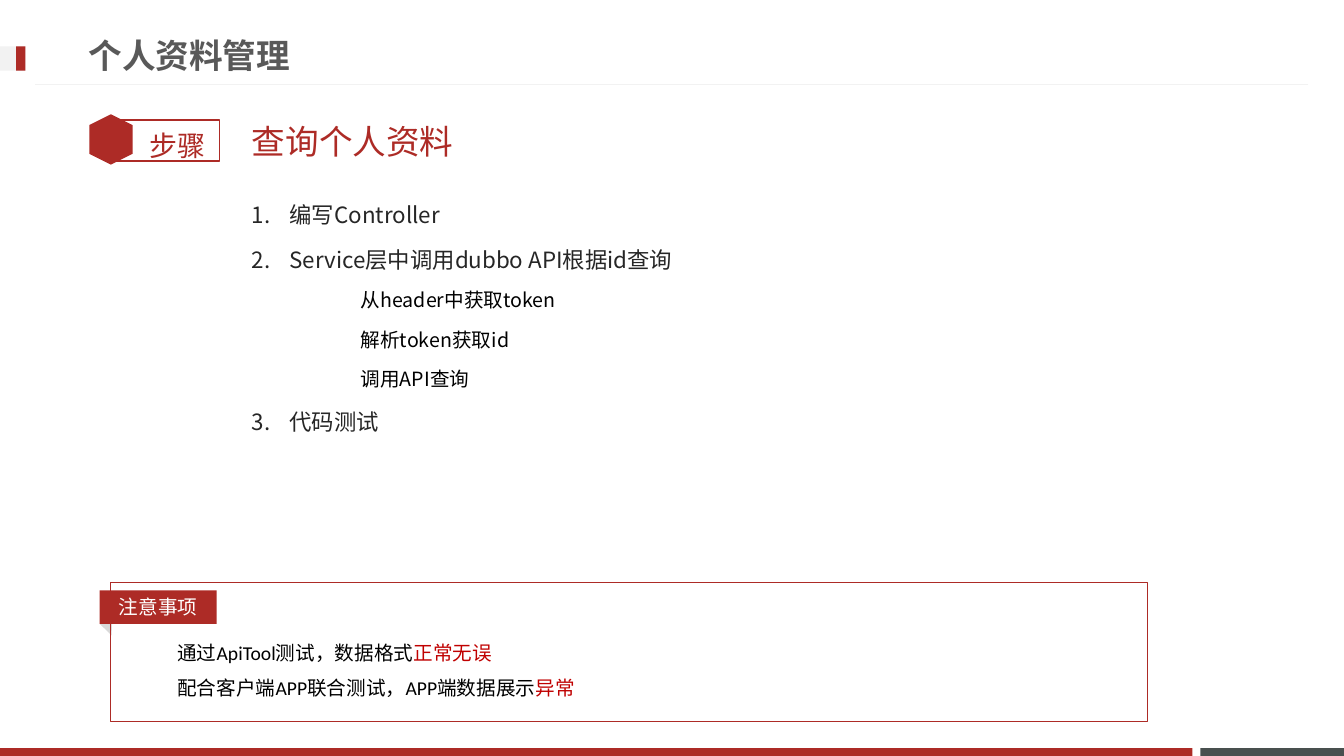
import pptx
import pptx.util
import pptx.dml.color
import pptx.enum.shapes
import pptx.enum.text
import pptx.oxml.ns
import lxml.etree

Cm, Pt = pptx.util.Cm, pptx.util.Pt
SHAPE = pptx.enum.shapes.MSO_SHAPE
ANCHOR = pptx.enum.text.MSO_ANCHOR
ALIGN = pptx.enum.text.PP_ALIGN
qn = pptx.oxml.ns.qn

C = {"red": "AD2B26", "slate": "49504F", "pale": "F2F2F2", "fold": "D9D9D9",
     "title": "595959", "ink": "262626", "black": "000000", "white": "FFFFFF",
     "alert": "C00000"}
W, H = 33.87, 19.05


def rgb(name):
    return pptx.dml.color.RGBColor.from_string(C[name])


def add_box(s, kind, x, y, w, h, fill=None, line=None, weight=0.75, rot=0):
    sp = s.shapes.add_shape(kind, Cm(x), Cm(y), Cm(w), Cm(h))
    sp.shadow.inherit = False
    sp.rotation = rot
    if fill:
        sp.fill.solid()
        sp.fill.fore_color.rgb = rgb(fill)
    else:
        sp.fill.background()
    if line:
        sp.line.color.rgb = rgb(line)
        sp.line.width = Pt(weight)
    else:
        sp.line.fill.background()
    return sp


def add_frame(s, x, y, w, h, anchor=ANCHOR.TOP):
    tf = s.shapes.add_textbox(Cm(x), Cm(y), Cm(w), Cm(h)).text_frame
    tf.word_wrap = True
    tf.vertical_anchor = anchor
    return tf


def add_text(p, text, size=14, font="Calibri", color="black", bold=False):
    r = p.add_run()
    r.text = text
    r.font.size = Pt(size)
    r.font.name = font
    r.font.bold = bold
    r.font.color.rgb = rgb(color)


def next_paragraph(tf):
    return tf.paragraphs[0] if not tf.paragraphs[0].runs else tf.add_paragraph()


def indent(p, left, first=0, numbered=False):
    pPr = p._p.get_or_add_pPr()
    pPr.set("marL", str(Cm(left)))
    pPr.set("indent", str(Cm(first)))
    if numbered:
        lxml.etree.SubElement(pPr, qn("a:buAutoNum"), type="arabicPeriod")
    else:
        lxml.etree.SubElement(pPr, qn("a:buNone"))


def draw_frame(s):
    # Footer bars
    add_box(s, SHAPE.RECTANGLE, 30.25, H - 0.2, W - 30.25, 0.2, "slate")
    add_box(s, SHAPE.RECTANGLE, 0, H - 0.2, 30.05, 0.2, "red")
    # Header rule
    rule = s.shapes.add_connector(pptx.enum.shapes.MSO_CONNECTOR.STRAIGHT,
                                  Cm(32.97), Cm(2.13), Cm(0.89), Cm(2.13))
    rule.line.color.rgb = rgb("pale")
    rule.line.width = Pt(0.75)
    lxml.etree.SubElement(rule._element.spPr, qn("a:effectLst"))
    # Edge tab
    add_box(s, SHAPE.RECTANGLE, 0, 1.17, 0.64, 0.61, "pale")
    add_box(s, SHAPE.RECTANGLE, 0.41, 1.17, 0.23, 0.61, "red")


def draw_heading(s, x, y, w, h, text, **fmt):
    p = add_frame(s, x, y, w, h, ANCHOR.MIDDLE).paragraphs[0]
    add_text(p, text, size=24, **fmt)


def draw_step_badge(s, x, y):
    add_box(s, SHAPE.RECTANGLE, x + 0.61, y + 0.33, 2.77, 1.04, line="red", weight=1)
    add_box(s, SHAPE.HEXAGON, x, y + 0.28, 1.27, 1.09, "red", rot=90)
    p = add_frame(s, x + 1.35, y, 2.16, 1.42).paragraphs[0]
    p.line_spacing = 1.5
    add_text(p, "步骤", size=20, font="Arial", color="red")


def draw_steps(s, x, y, w, h, steps):
    tf = add_frame(s, x, y, w, h)
    for level, text in steps:
        p = next_paragraph(tf)
        size = 14 if level else 16
        p.level = level
        p.line_spacing = 1.5
        p.space_before = Pt(size * 0.2)
        if level:
            indent(p, 2.74)
        else:
            indent(p, 0.95, -0.95, numbered=True)
        add_text(p, text, size, "Noto Sans CJK JP", "black" if level else "ink")


def draw_notes(s, x, y, w, h, label, notes):
    # Folded corner, border and label
    add_box(s, SHAPE.ISOSCELES_TRIANGLE, x - 0.25, y + 0.99, 0.41, 0.23, "fold", rot=44.2)
    add_box(s, SHAPE.RECTANGLE, x, y, w, h, line="red")
    tag = add_box(s, SHAPE.RECTANGLE, x - 0.28, y + 0.2, 2.95, 0.84, "red")
    tag.text_frame.vertical_anchor = ANCHOR.MIDDLE
    p = tag.text_frame.paragraphs[0]
    p.alignment = ALIGN.CENTER
    add_text(p, label, font="Arial", color="white")
    # Note lines, each ending in a highlighted result
    tf = add_frame(s, x + 1.43, y + 1.04, 22.68, 2.84)
    for text, result in notes:
        p = next_paragraph(tf)
        p.line_spacing = 1.5
        add_text(p, text)
        add_text(p, result, color="alert")


def main():
    prs = pptx.Presentation()
    prs.slide_width, prs.slide_height = Cm(W), Cm(H)
    s = prs.slides.add_slide(prs.slide_layouts[6])
    draw_frame(s)
    draw_step_badge(s, 2.16, 2.69)
    draw_heading(s, 1.98, 0.66, 24.36, 1.45, "个人资料管理",
                 font="Arial", color="title", bold=True)
    draw_heading(s, 6.1, 2.82, 25.6, 1.45, "查询个人资料", color="red")
    draw_steps(s, 6.1, 4.6, 25.6, 11.71, [
        (0, "编写Controller"),
        (0, "Service层中调用dubbo API根据id查询"),
        (1, "从header中获取token"),
        (1, "解析token获取id"),
        (1, "调用API查询"),
        (0, "代码测试"),
    ])
    draw_notes(s, 2.79, 14.68, 26.14, 3.51, "注意事项", [
        ("通过ApiTool测试，数据格式", "正常无误"),
        ("配合客户端APP联合测试，APP端数据展示", "异常"),
    ])
    prs.save("out.pptx")


if __name__ == "__main__":
    main()
